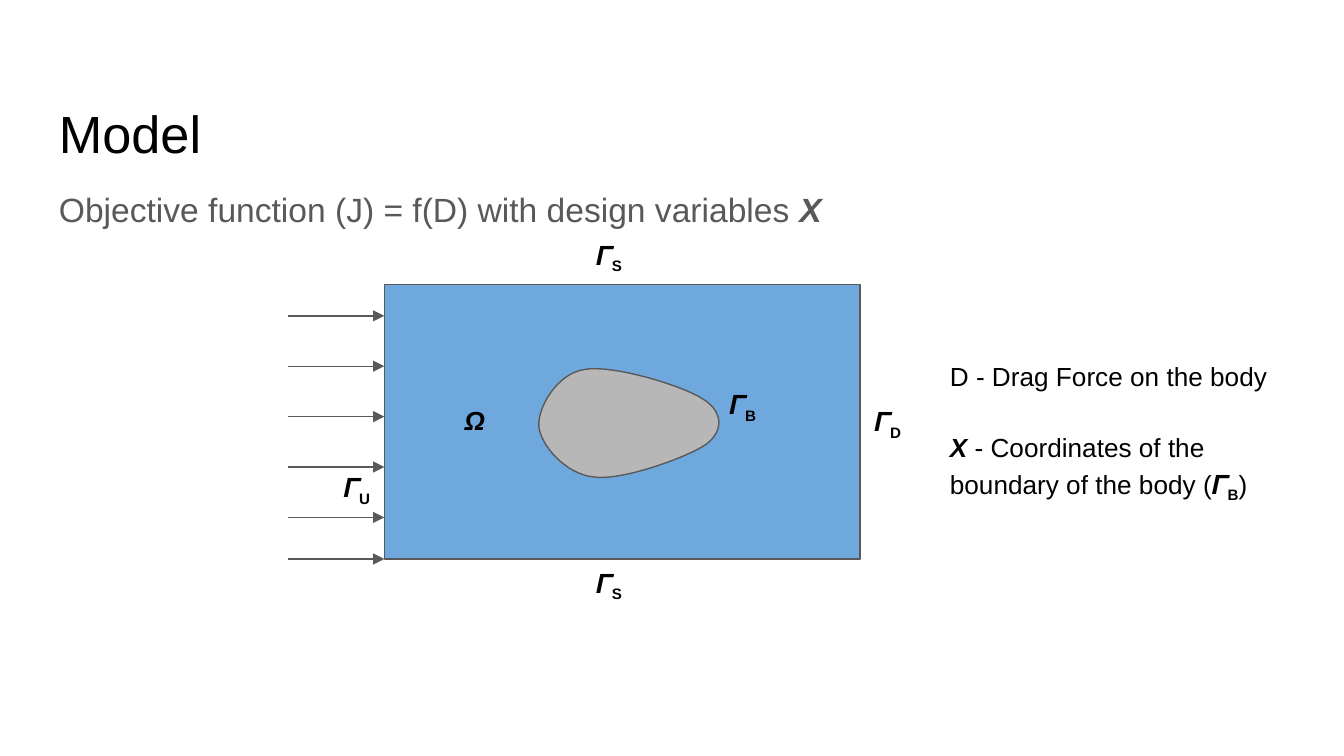
from pptx import Presentation
from pptx.dml.color import RGBColor
from pptx.enum.shapes import MSO_CONNECTOR, MSO_SHAPE
from pptx.oxml.ns import qn
from pptx.util import Pt
from lxml import etree

STRAIGHT = MSO_CONNECTOR.STRAIGHT
RECTANGLE = MSO_SHAPE.RECTANGLE

BLACK = RGBColor(0x00, 0x00, 0x00)
GREY = RGBColor(0x59, 0x59, 0x59)
FLUID_BLUE = RGBColor(0x6F, 0xA8, 0xDC)
BODY_GREY = RGBColor(0xB7, 0xB7, 0xB7)

FONT = "Arial"
INSET = 7.2
OUTLINE = 0.75
BOLD = {"bold": True}
BOLD_ITALIC = {"bold": True, "italic": True}
GAMMA = "𝜞"

TITLE_BOX = (24.5, 46.8, 671, 45.4)
OBJECTIVE_BOX = (24.5, 90.7, 671, 269.3)
CHANNEL_BOX = (205.9, 152.6, 254.9, 146.9)
LEGEND_BOX = (501.8, 183.6, 193.7, 67.7)

LABEL_SIZE = (41, 31.7)
# Offsets from the channel's top left corner: boundary subscript, left, top
BOUNDARY_LABELS = [
    ("U", -28.8, 92.9),
    ("S", 106.6, 144),
    ("S", 106.6, -31.6),
    ("D", 255.6, 57.6),
    ("B", 177.9, 48.3),
]
DOMAIN_OFFSET = (36, 56.9)

INFLOW_LENGTH = 51.8
INFLOW_HEIGHTS = [16.6 + 27 * step for step in range(5)] + [CHANNEL_BOX[3]]

BODY_START = (82.8, 75.6)
BODY_CURVES = [
    ((83.5, 85.7), (97.2, 101.6), (112.3, 103)),
    ((127.5, 105.2), (162.7, 92.2), (172.1, 85.7)),
    ((182.2, 78.5), (181.5, 67.7), (170.7, 61.2)),
    ((159.9, 54), (121.7, 42.5), (107.3, 45.4)),
    ((92.2, 47.6), (82.1, 66.3), BODY_START),
]
CURVE_STEPS = 16


def add_spans(para, spans, size, color):
    """Add (text, format) runs; the format key "subscript" lowers a run."""
    for text, formats in spans:
        span = para.add_run()
        span.text = text
        values = {"name": FONT, "size": Pt(size), **formats}
        subscript = values.pop("subscript", False)
        for name, value in values.items():
            setattr(span.font, name, value)
        span.font.color.rgb = color
        if subscript:
            span._r.get_or_add_rPr().set("baseline", "-25000")


def add_text(page, box, paragraphs, size, color=BLACK, **spacing):
    """Place paragraphs, each a list of spans, in a wrapping text box."""
    frame = page.shapes.add_textbox(*map(Pt, box)).text_frame
    frame.word_wrap = True
    for side in ("left", "top", "right", "bottom"):
        setattr(frame, f"margin_{side}", Pt(INSET))
    for index, spans in enumerate(paragraphs):
        para = frame.paragraphs[0] if index == 0 else frame.add_paragraph()
        for name, value in spacing.items():
            setattr(para, name, value)
        add_spans(para, spans, size, color)
    return frame


def paint(shape, fill):
    shape.shadow.inherit = False
    shape.fill.solid()
    shape.fill.fore_color.rgb = fill
    shape.line.color.rgb = GREY
    shape.line.width = Pt(OUTLINE)


def boundary(subscript):
    return [(GAMMA, {}), (subscript, {**BOLD, "subscript": True})]


def curve_points(start, curves):
    """Sample a chain of cubic Bézier curves."""
    points = []
    for first, second, end in curves:
        for step in range(1, CURVE_STEPS + 1):
            t = step / CURVE_STEPS
            weights = ((1 - t) ** 3, 3 * t * (1 - t) ** 2, 3 * t**2 * (1 - t), t**3)
            corners = (start, first, second, end)
            points.append(tuple(
                sum(weight * corner[axis] for weight, corner in zip(weights, corners))
                for axis in (0, 1)
            ))
        start = end
    return points


def add_body(page, box):
    left, top = box[:2]
    points = [
        (Pt(left + x), Pt(top + y))
        for x, y in [BODY_START] + curve_points(BODY_START, BODY_CURVES)
    ]
    builder = page.shapes.build_freeform(*points[0])
    builder.add_line_segments(points[1:-1], close=True)
    paint(builder.convert_to_shape(), BODY_GREY)


def add_inflow(page, box):
    left, top = box[:2]
    for height in INFLOW_HEIGHTS:
        y = Pt(top + height)
        arrow = page.shapes.add_connector(
            STRAIGHT, Pt(left - INFLOW_LENGTH), y, Pt(left), y)
        arrow.line.color.rgb = GREY
        arrow.line.width = Pt(OUTLINE)
        etree.SubElement(arrow.line._get_or_add_ln(), qn("a:tailEnd"), type="triangle")
        etree.SubElement(arrow._element.spPr, qn("a:effectLst"))


def add_channel(page, box):
    """Draw the flow domain with its body, inflow and boundary labels."""
    left, top = box[:2]
    paint(page.shapes.add_shape(RECTANGLE, *map(Pt, box)), FLUID_BLUE)
    add_body(page, box)
    add_inflow(page, box)
    labels = [(boundary(subscript), x, y) for subscript, x, y in BOUNDARY_LABELS]
    labels.append(([("Ω", BOLD_ITALIC)], *DOMAIN_OFFSET))
    for spans, x, y in labels:
        add_text(page, (left + x, top + y, *LABEL_SIZE), [spans], 14)


def add_heading(page, title_box, objective_box):
    add_text(page, title_box, [[("Model", {})]], 28)
    objective = [
        ("Objective function (J) = f(D) with design variables ", {}),
        ("X", BOLD_ITALIC),
    ]
    add_text(page, objective_box, [objective], 18, GREY,
             line_spacing=1.15, space_after=Pt(16))


def add_legend(page, box):
    drag = [("D - Drag Force on the body", {})]
    coordinates = [
        ("X", BOLD_ITALIC),
        (" - Coordinates of the boundary of the body (", {}),
        *boundary("B"),
        (")", {}),
    ]
    frame = add_text(page, box, [drag, coordinates], 14, line_spacing=1.15)
    frame.paragraphs[1].space_before = Pt(18.5)


def main():
    deck = Presentation()
    deck.slide_width, deck.slide_height = Pt(720), Pt(405)
    page = deck.slides.add_slide(deck.slide_layouts[6])
    add_heading(page, TITLE_BOX, OBJECTIVE_BOX)
    add_channel(page, CHANNEL_BOX)
    add_legend(page, LEGEND_BOX)
    deck.save("out.pptx")


if __name__ == "__main__":
    main()
